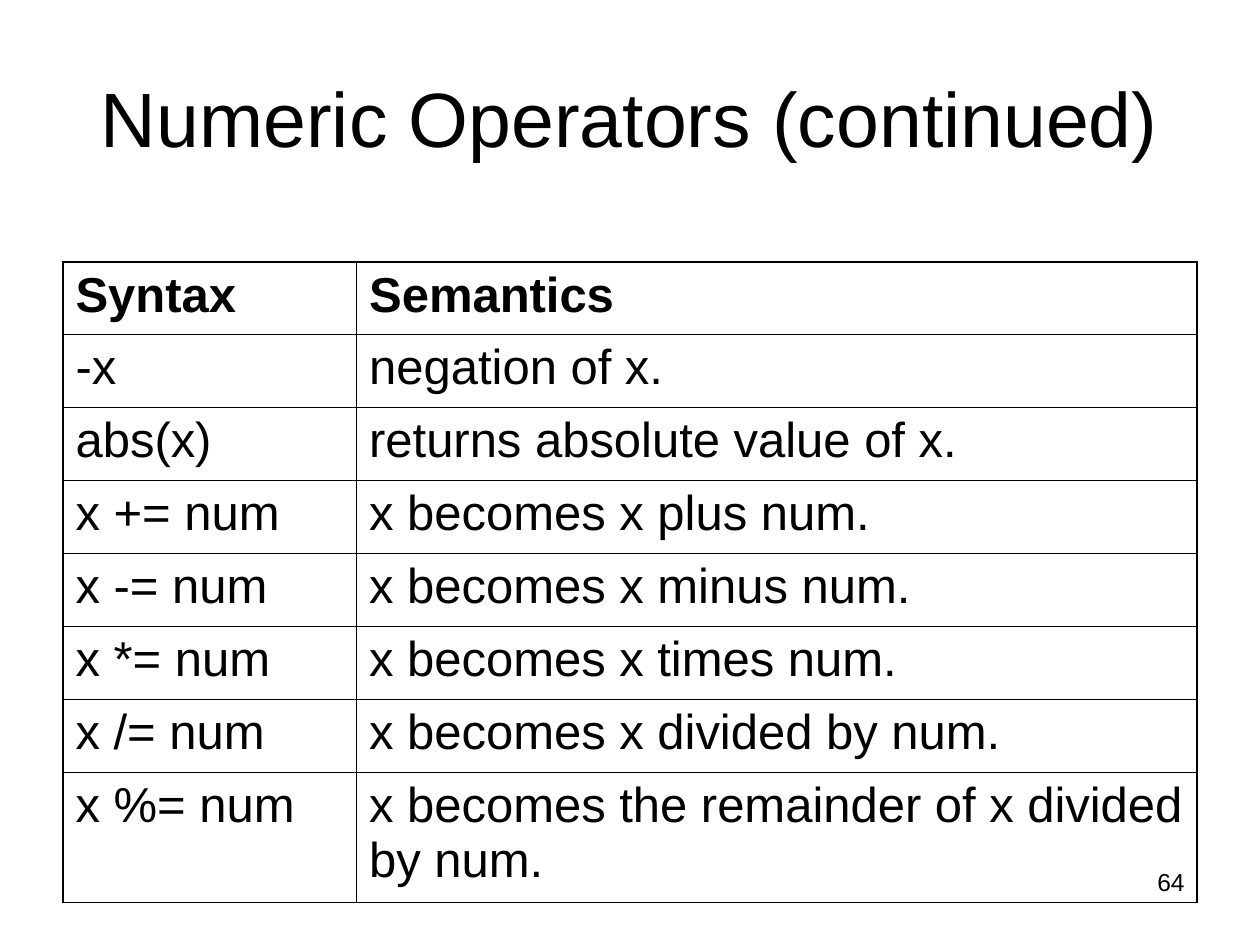
from lxml.etree import SubElement
from pptx import Presentation
from pptx.dml.color import RGBColor
from pptx.enum.text import MSO_ANCHOR, PP_ALIGN
from pptx.oxml.ns import qn
from pptx.util import Inches, Pt

TITLE = "Numeric Operators (continued)"
PAGE = "64"
ROWS = [
    ("Syntax", "Semantics"),
    ("-x", "negation of x."),
    ("abs(x)", "returns absolute value of x."),
    ("x += num", "x becomes x plus num."),
    ("x -= num", "x becomes x minus num."),
    ("x *= num", "x becomes x times num."),
    ("x /= num", "x becomes x divided by num."),
    ("x %= num", "x becomes the remainder of x divided by num."),
]
WIDTHS = [2.33, 6.67]
HEIGHTS = [0.57] + [0.58] * 6 + [1.03]
INK = "000000"
THICK, THIN = 1.08, 0.45


def paint(target, shade):
    target.rgb = RGBColor.from_string(shade)


def write(frame, text, size=28, bold=False, align=PP_ALIGN.LEFT):
    frame.word_wrap = True
    para = frame.paragraphs[0]
    para.alignment = align
    run = para.add_run()
    run.text = text
    font = run.font
    font.name, font.size, font.bold = "Arial", Pt(size), bold
    paint(font.color, INK)


def place(shape, left, top, width, height):
    shape.left, shape.top = Inches(left), Inches(top)
    shape.width, shape.height = Inches(width), Inches(height)


def edge(cell, outer):
    props = cell._tc.get_or_add_tcPr()
    for spot, (side, thick) in enumerate(outer.items()):
        line = props.makeelement(qn(f"a:ln{side}"))
        line.set("w", str(Pt(THICK if thick else THIN)))
        fill = SubElement(line, qn("a:solidFill"))
        SubElement(fill, qn("a:srgbClr")).set("val", INK)
        props.insert(spot, line)


def main():
    deck = Presentation()
    deck.slide_width, deck.slide_height = Inches(10), Inches(7.5)
    slide = deck.slides.add_slide(deck.slide_layouts[5])
    back = slide.background.fill
    back.solid()
    paint(back.fore_color, "FFFFFF")

    title = slide.shapes.title
    place(title, 0.5, 0.3, 9, 1.25)
    title.text_frame.vertical_anchor = MSO_ANCHOR.MIDDLE
    write(title.text_frame, TITLE, size=44, align=PP_ALIGN.CENTER)

    page = slide.shapes.add_textbox(0, 0, 0, 0)
    place(page, 7.17, 6.83, 2.33, 0.52)
    write(page.text_frame, PAGE, size=14, align=PP_ALIGN.RIGHT)

    frame = slide.shapes.add_table(
        len(ROWS), len(WIDTHS), Inches(0.5), Inches(2.08),
        Inches(sum(WIDTHS)), Inches(sum(HEIGHTS)))
    table = frame.table
    table.horz_banding = False
    for col, width in zip(table.columns, WIDTHS):
        col.width = Inches(width)
    for row, height in zip(table.rows, HEIGHTS):
        row.height = Inches(height)

    for r, texts in enumerate(ROWS):
        for c, text in enumerate(texts):
            cell = table.cell(r, c)
            cell.fill.background()
            cell.margin_left = cell.margin_right = Inches(0.1)
            cell.margin_top = cell.margin_bottom = Inches(0.05)
            write(cell.text_frame, text, bold=r == 0)
            edge(cell, {"L": c == 0, "R": c == len(WIDTHS) - 1,
                        "T": r == 0, "B": r == len(ROWS) - 1})

    deck.save("out.pptx")


if __name__ == "__main__":
    main()
